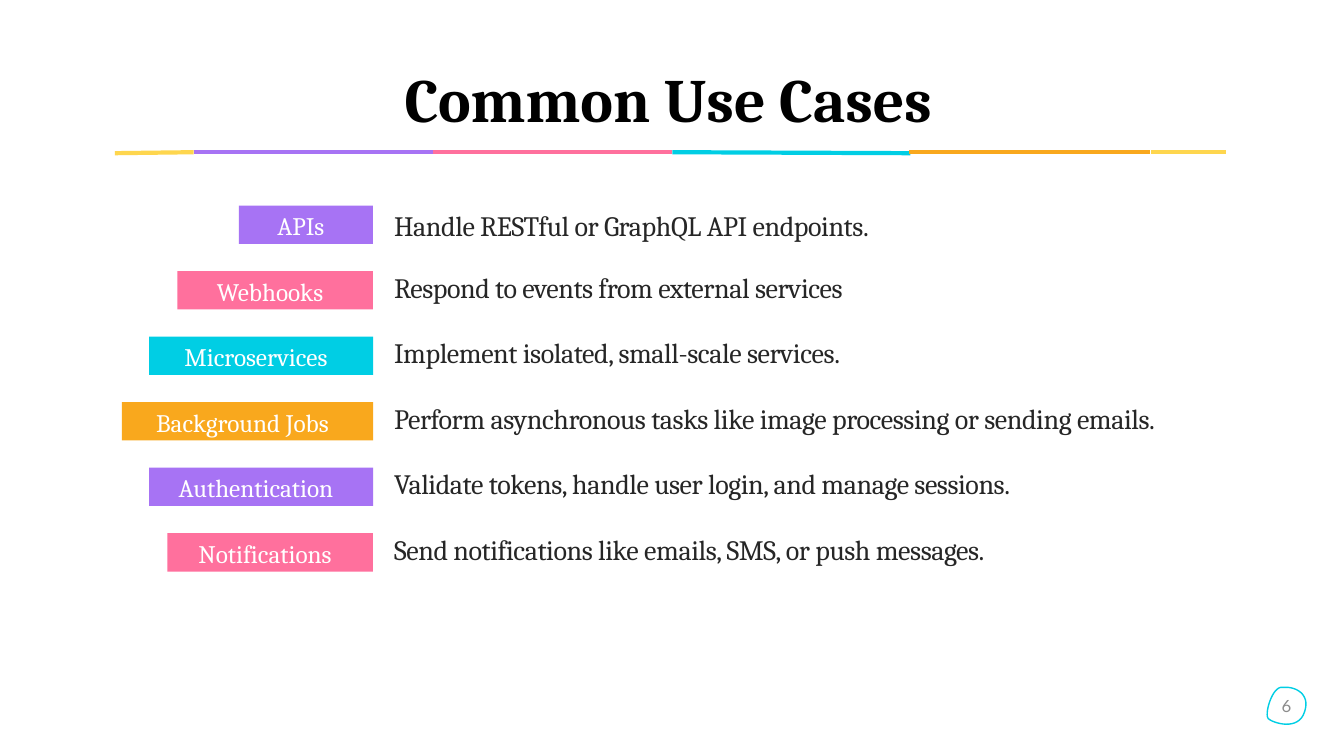
from lxml import etree
from pptx import Presentation
from pptx.dml.color import RGBColor
from pptx.enum.shapes import MSO_CONNECTOR as Connector, MSO_SHAPE as Shape
from pptx.enum.text import MSO_ANCHOR as Anchor, MSO_AUTO_SIZE as AutoSize, PP_ALIGN as Align
from pptx.oxml.ns import qn
from pptx.util import Inches, Pt

YELLOW = RGBColor(0xFE, 0xD6, 0x4E)
PURPLE = RGBColor(0xA7, 0x73, 0xF4)
PINK = RGBColor(0xFF, 0x70, 0x9D)
CYAN = RGBColor(0x00, 0xCE, 0xE4)
ORANGE = RGBColor(0xF9, 0xA8, 0x1D)
BLACK = RGBColor(0, 0, 0)
WHITE = RGBColor(0xFF, 0xFF, 0xFF)
DARK = RGBColor(0x26, 0x26, 0x26)
GREY = RGBColor(0x8C, 0x8C, 0x8C)
SERIF, SANS = "Cambria", "Lato"

# Label, label width, label colour, description, description width
USE_CASES = [
    ("APIs", 1.33, PURPLE, "Handle RESTful or GraphQL API endpoints.", 7.61),
    ("Webhooks", 1.94, PINK, "Respond to events from external services", 7.61),
    ("Microservices", 2.22, CYAN, "Implement isolated, small-scale services.", 7.61),
    ("Background Jobs", 2.49, ORANGE,
     "Perform asynchronous tasks like image processing or sending emails.", 8.52),
    ("Authentication", 2.22, PURPLE,
     "Validate tokens, handle user login, and manage sessions.", 7.61),
    ("Notifications", 2.04, PINK,
     "Send notifications like emails, SMS, or push messages.", 7.61),
]

# Start x, start y, end x, end y (from the left end of the rule), colour
RULE_SEGMENTS = [
    (0, 0.01, 0.78, 0, YELLOW),
    (0.78, 0, 3.15, 0, PURPLE),
    (3.15, 0, 5.53, 0, PINK),
    (5.53, 0, 7.89, 0.01, CYAN),
    (7.88, 0, 10.27, 0, ORANGE),
    (10.28, 0, 11.02, 0, YELLOW),
]

# Cubic curves from the badge's top left: two control points and an end point
BADGE_START = (0.17, 0)
BADGE_CURVES = [
    ((0.27, -0.01), (0.43, 0.06), (0.37, 0.24)),
    ((0.31, 0.44), (0.05, 0.35), (0.01, 0.31)),
    ((-0.03, 0.27), (0.04, 0.02), (0.13, 0)),
    ((0.14, 0), (0.15, 0), (0.17, 0)),
]


def write_text(shape, text, size, color, font=SERIF, align=Align.LEFT,
               anchor=Anchor.TOP, bold=False):
    frame = shape.text_frame
    frame.word_wrap = True
    frame.auto_size = AutoSize.NONE
    frame.vertical_anchor = anchor
    paragraph = frame.paragraphs[0]
    paragraph.alignment = align
    run = paragraph.add_run()
    run.text = text
    run.font.name = font
    run.font.size = Pt(size)
    run.font.bold = bold
    run.font.color.rgb = color
    return paragraph


def add_title(slide, left, top, width, height):
    title = slide.shapes.title
    title.left, title.top = Inches(left), Inches(top)
    title.width, title.height = Inches(width), Inches(height)
    paragraph = write_text(title, "Common Use Cases", 44, BLACK,
                           align=Align.CENTER, anchor=Anchor.BOTTOM, bold=True)
    paragraph.line_spacing = 1.7


def add_rule(slide, left, top):
    for start_x, start_y, end_x, end_y, color in RULE_SEGMENTS:
        line = slide.shapes.add_connector(
            Connector.STRAIGHT, Inches(left + start_x), Inches(top + start_y),
            Inches(left + end_x), Inches(top + end_y))
        line.line.color.rgb = color
        line.line.width = Pt(3)
        etree.SubElement(line._element.spPr, qn("a:effectLst"))


def add_label(slide, right, top, width, text, color):
    label = slide.shapes.add_shape(
        Shape.RECTANGLE, Inches(right - width), Inches(top), Inches(width), Inches(0.38))
    label.shadow.inherit = False
    label.fill.solid()
    label.fill.fore_color.rgb = color
    label.line.fill.background()
    label.text_frame.margin_right = Inches(0.2)
    write_text(label, text, 18, WHITE, align=Align.CENTER)


def add_description(slide, left, top, width, text, anchor):
    box = slide.shapes.add_textbox(Inches(left), Inches(top), Inches(width), Inches(0.51))
    paragraph = write_text(box, text, 20, DARK, anchor=anchor)
    paragraph.runs[0].font._element.set("spc", "-30")


def add_use_cases(slide, axis, top, pitch):
    """Labels end at the axis; descriptions start just right of it."""
    for row, (name, label_width, color, description, width) in enumerate(USE_CASES):
        row_top = top + row * pitch
        add_label(slide, axis, row_top, label_width, name, color)
        anchor = Anchor.MIDDLE if row == 0 else Anchor.TOP
        add_description(slide, axis + 0.11, row_top - 0.06, width, description, anchor)


def curve_points(start, curves, steps=16):
    """Points along a chain of cubic curves."""
    points = []
    for first, second, end in curves:
        for step in range(1, steps + 1):
            t = step / steps
            u = 1 - t
            points.append(tuple(
                u**3 * a + 3 * u * u * t * b + 3 * u * t * t * c + t**3 * d
                for a, b, c, d in zip(start, first, second, end)))
        start = end
    return points


def add_page_badge(slide, left, top, number):
    def place(point):
        return Inches(left + point[0]), Inches(top + point[1])

    builder = slide.shapes.build_freeform(*place(BADGE_START))
    builder.add_line_segments([place(p) for p in curve_points(BADGE_START, BADGE_CURVES)])
    badge = builder.convert_to_shape()
    badge.shadow.inherit = False
    badge.fill.background()
    badge.line.color.rgb = CYAN
    badge.line.width = Pt(1)
    write_text(badge, number, 12, GREY, SANS, Align.CENTER, Anchor.MIDDLE)


def main():
    presentation = Presentation()
    presentation.slide_width, presentation.slide_height = Inches(13.33), Inches(7.5)
    slide = presentation.slides.add_slide(presentation.slide_layouts[5])
    slide.background.fill.solid()
    slide.background.fill.fore_color.rgb = WHITE
    add_rule(slide, 1.14, 1.51)
    add_use_cases(slide, 3.7, 2.04, 0.65)
    add_page_badge(slide, 12.57, 6.82, "6")
    add_title(slide, 0.71, 0.5, 11.84, 0.89)
    presentation.save("out.pptx")


if __name__ == "__main__":
    main()
